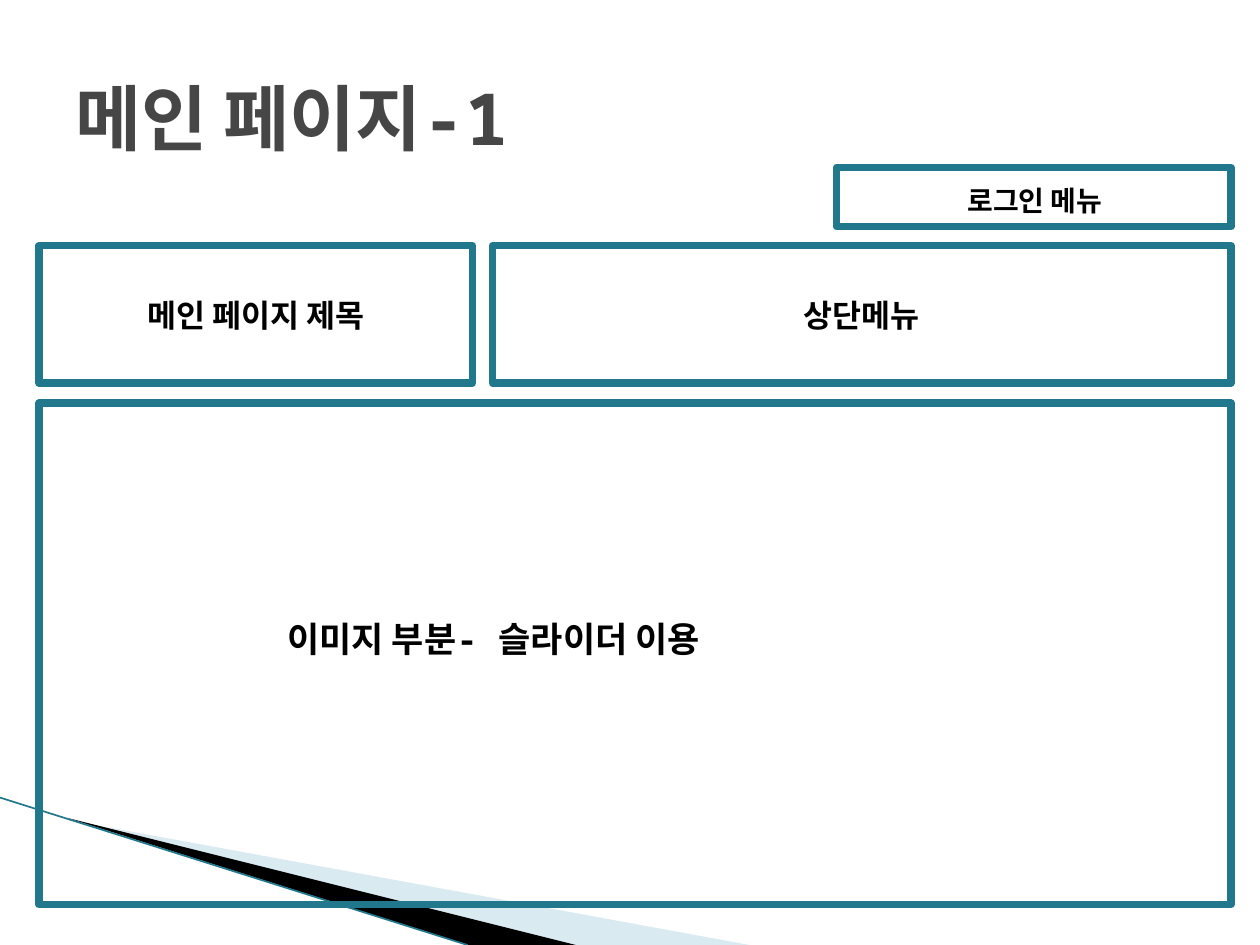
from lxml import etree
from pptx import Presentation
from pptx.dml.color import RGBColor
from pptx.enum.shapes import MSO_CONNECTOR, MSO_SHAPE
from pptx.enum.text import MSO_ANCHOR, PP_ALIGN
from pptx.oxml.ns import qn
from pptx.util import Inches, Pt

RECTANGLE = MSO_SHAPE.RECTANGLE
STRAIGHT = MSO_CONNECTOR.STRAIGHT
MIDDLE = MSO_ANCHOR.MIDDLE
LEFT, CENTER = PP_ALIGN.LEFT, PP_ALIGN.CENTER

TEAL = RGBColor(0x21, 0x78, 0x8D)
PALE_BLUE = RGBColor(0xA0, 0xCB, 0xDC)
BLACK = RGBColor(0, 0, 0)
GRAY = RGBColor(0x46, 0x46, 0x46)
FONT = "Noto Sans Mono"

LEFT_EDGE, RIGHT_EDGE = 0.31, 9.77
HEADER_TOP, HEADER_HEIGHT = 1.95, 1.09
GAP = 0.16
SITE_TITLE_WIDTH = 3.44
MENU_LEFT = LEFT_EDGE + SITE_TITLE_WIDTH + GAP
SLIDER_TOP = HEADER_TOP + HEADER_HEIGHT + GAP

TITLE = ("메인 페이지-1", (0.5, 0.3, 9, 1.25), 41, GRAY)
LOGIN_LABEL = ("로그인 메뉴", (7.58, 1.41, 1.56, 0.37), 16, BLACK)
LOGIN_FRAME = (6.64, 1.33, RIGHT_EDGE - 6.64, 0.47)
HEADER_FRAMES = [
    ("메인 페이지 제목", (LEFT_EDGE, HEADER_TOP, SITE_TITLE_WIDTH, HEADER_HEIGHT)),
    ("상단메뉴", (MENU_LEFT, HEADER_TOP, RIGHT_EDGE - MENU_LEFT, HEADER_HEIGHT)),
]
SLIDER_TEXT = "이미지 부분- 슬라이더 이용"
SLIDER_FRAME = (LEFT_EDGE, SLIDER_TOP, RIGHT_EDGE - LEFT_EDGE, 3.98)
WEDGES = [
    ([(0.55, 6.51), (5.95, 7.5), (4.56, 7.5)], PALE_BLUE, 40),
    ([(0.53, 6.49), (4.57, 7.5), (3.72, 7.5)], BLACK, 100),
]
EDGE_LINE = [(0, 6.33), (3.71, 7.5)]


def inches(values):
    return [Inches(value) for value in values]


def add_wedge(page, points, color, opacity):
    start, *others = [inches(point) for point in points]
    builder = page.shapes.build_freeform(*start)
    builder.add_line_segments(others, close=True)
    wedge = builder.convert_to_shape()
    wedge.shadow.inherit = False
    wedge.line.fill.background()
    wedge.fill.solid()
    wedge.fill.fore_color.rgb = color
    if opacity < 100:
        color_node = wedge.fill._xPr.find(qn("a:solidFill"))[0]
        etree.SubElement(color_node, qn("a:alpha"), val=str(opacity * 1000))


def add_edge_line(page, start, end):
    edge = page.shapes.add_connector(STRAIGHT, *inches(start), *inches(end))
    edge.line.color.rgb = TEAL
    edge.line.width = Pt(0.95)
    etree.SubElement(edge._element.spPr, qn("a:effectLst"))


def write(shape, text, size, color, align):
    frame = shape.text_frame
    frame.word_wrap = True
    para = frame.paragraphs[0]
    para.alignment = align
    span = para.add_run()
    span.text = text
    span.font.name = FONT
    span.font.size = Pt(size)
    span.font.bold = True
    span.font.color.rgb = color
    return frame


def add_label(page, text, bounds, size, color):
    box = page.shapes.add_textbox(*inches(bounds))
    return write(box, text, size, color, LEFT)


def add_frame(page, bounds):
    box = page.shapes.add_shape(RECTANGLE, *inches(bounds))
    box.shadow.inherit = False
    box.fill.background()
    box.line.color.rgb = TEAL
    box.line.width = Pt(4.33)
    etree.SubElement(box.line._get_or_add_ln(), qn("a:round"))
    box.text_frame.vertical_anchor = MIDDLE
    return box


def main():
    deck = Presentation()
    deck.slide_width, deck.slide_height = Inches(10), Inches(7.5)
    page = deck.slides.add_slide(deck.slide_layouts[6])

    for wedge in WEDGES:
        add_wedge(page, *wedge)
    add_edge_line(page, *EDGE_LINE)

    add_label(page, *TITLE).vertical_anchor = MIDDLE
    add_frame(page, LOGIN_FRAME)
    add_label(page, *LOGIN_LABEL)
    for text, bounds in HEADER_FRAMES:
        write(add_frame(page, bounds), text, 18, BLACK, CENTER)

    slider = write(add_frame(page, SLIDER_FRAME), SLIDER_TEXT, 20, BLACK, LEFT)
    slider.margin_left = Inches(1.97)
    slider.margin_bottom = Inches(0.3)

    deck.save("out.pptx")


if __name__ == "__main__":
    main()
